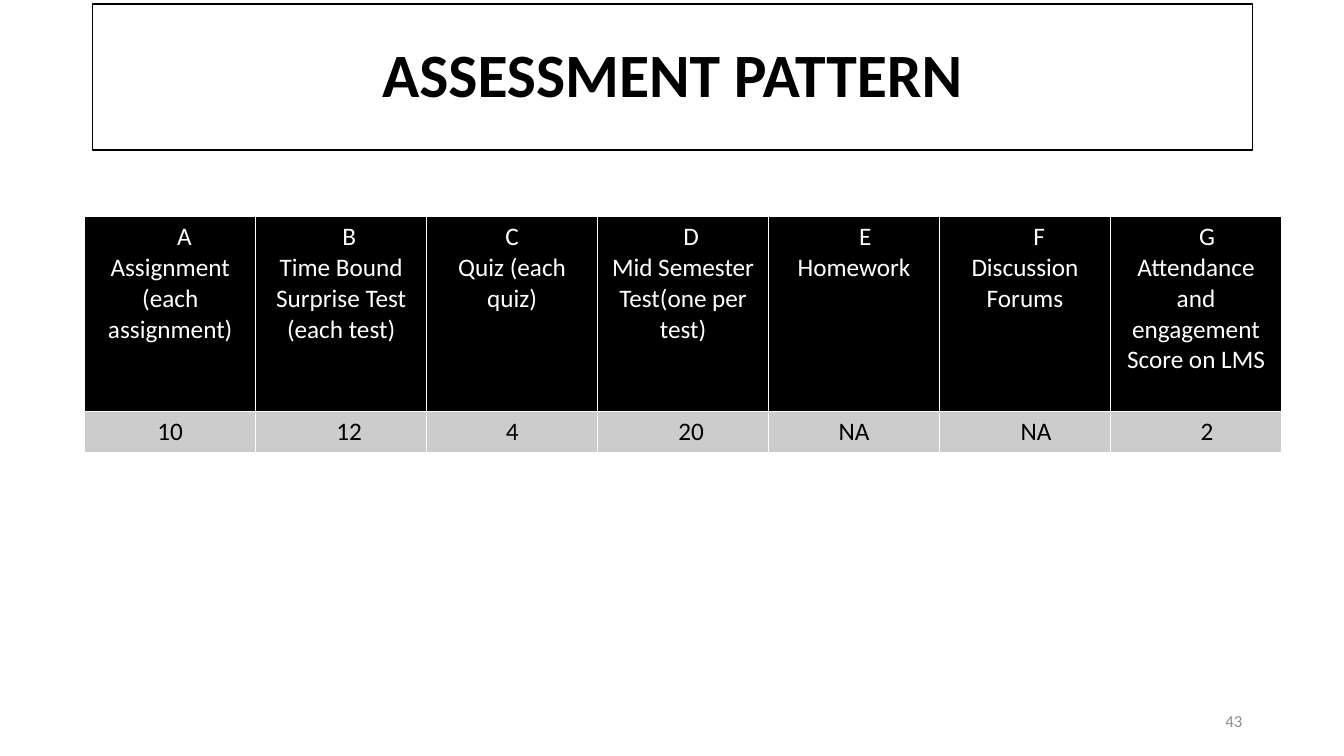
from dataclasses import dataclass

from lxml.etree import SubElement
from pptx import Presentation
from pptx.dml.color import RGBColor
from pptx.enum.text import MSO_ANCHOR, PP_ALIGN
from pptx.oxml.ns import qn
from pptx.util import Inches, Pt


@dataclass(frozen=True)
class Theme:
    font: str = "Calibri"
    black: RGBColor = RGBColor(0, 0, 0)
    white: RGBColor = RGBColor(255, 255, 255)
    band: RGBColor = RGBColor(0xCC, 0xCC, 0xCC)
    muted: RGBColor = RGBColor(0x8C, 0x8C, 0x8C)
    title: int = 44
    body: int = 18
    small: int = 12


THEME = Theme()

# letter, its shift right, heading, mark, its shift right (inches)
ITEMS = [
    ("A", 0.14, "Assignment (each assignment)", "10", 0),
    ("B", 0.08, "Time Bound Surprise Test (each test)", "12", 0.08),
    ("C", 0, "Quiz (each quiz)", "4", 0),
    ("D", 0.08, "Mid Semester Test(one per test)", "20", 0.08),
    ("E", 0.11, "Homework", "NA", 0),
    ("F", 0.14, "Discussion Forums", "NA", 0.11),
    ("G", 0.11, "Attendance and engagement Score on LMS", "2", 0.11),
]


def style(para, size, color, align=PP_ALIGN.CENTER, bold=False):
    para.alignment = align
    font = para.font
    font.name, font.size, font.bold = THEME.font, Pt(size), bold
    font.color.rgb = color


def border(cell):
    props = cell._tc.get_or_add_tcPr()
    for index, side in enumerate(("a:lnL", "a:lnR", "a:lnT", "a:lnB")):
        line = SubElement(props, qn(side), w=str(Pt(1)))
        fill = SubElement(line, qn("a:solidFill"))
        SubElement(fill, qn("a:srgbClr"), val=str(THEME.white))
        props.insert(index, line)


def fill_cell(cell, lines, back, color):
    """Write (text, shift) lines; a left margin moves a centred line by half."""
    cell.fill.solid()
    cell.fill.fore_color.rgb = back
    border(cell)
    frame = cell.text_frame
    for index, (text, shift) in enumerate(lines):
        para = frame.add_paragraph() if index else frame.paragraphs[0]
        para.text = text
        if shift:
            para._p.get_or_add_pPr().set("marL", str(Inches(2 * shift)))
        style(para, THEME.body, color)


def add_title(slide, box, text):
    title = slide.shapes.title
    title.left, title.top, title.width, title.height = map(Inches, box)
    title.fill.solid()
    title.fill.fore_color.rgb = THEME.white
    title.line.color.rgb = THEME.black
    title.line.width = Pt(1)
    frame = title.text_frame
    frame.text = text
    frame.vertical_anchor = MSO_ANCHOR.MIDDLE
    para = frame.paragraphs[0]
    para.line_spacing = 0.9
    style(para, THEME.title, THEME.black, bold=True)


def add_marks(slide, box, heights):
    table = slide.shapes.add_table(2, len(ITEMS), *map(Inches, box)).table
    for row, height in zip(table.rows, heights):
        row.height = Inches(height)
    for col, (letter, shift, name, mark, inset) in enumerate(ITEMS):
        table.columns[col].width = Inches(box[2] / len(ITEMS))
        fill_cell(table.cell(0, col), [(letter, shift), (name, 0)],
                  THEME.black, THEME.white)
        fill_cell(table.cell(1, col), [(mark, inset)], THEME.band, THEME.black)


def add_number(slide, box, text):
    frame = slide.shapes.add_textbox(*map(Inches, box)).text_frame
    frame.word_wrap = True
    frame.vertical_anchor = MSO_ANCHOR.MIDDLE
    frame.text = text
    style(frame.paragraphs[0], THEME.small, THEME.muted, PP_ALIGN.RIGHT)


def main():
    deck = Presentation()
    deck.slide_width, deck.slide_height = Inches(13.33), Inches(7.5)
    slide = deck.slides.add_slide(deck.slide_layouts.get_by_name("Title Only"))
    add_title(slide, (0.92, 0.04, 11.5, 1.45), "ASSESSMENT PATTERN")
    add_marks(slide, (0.84, 2.15, 11.87, 2.34), (1.93, 0.41))
    add_number(slide, (9.42, 6.95, 3, 0.4), "43")
    deck.save("out.pptx")


if __name__ == "__main__":
    main()
